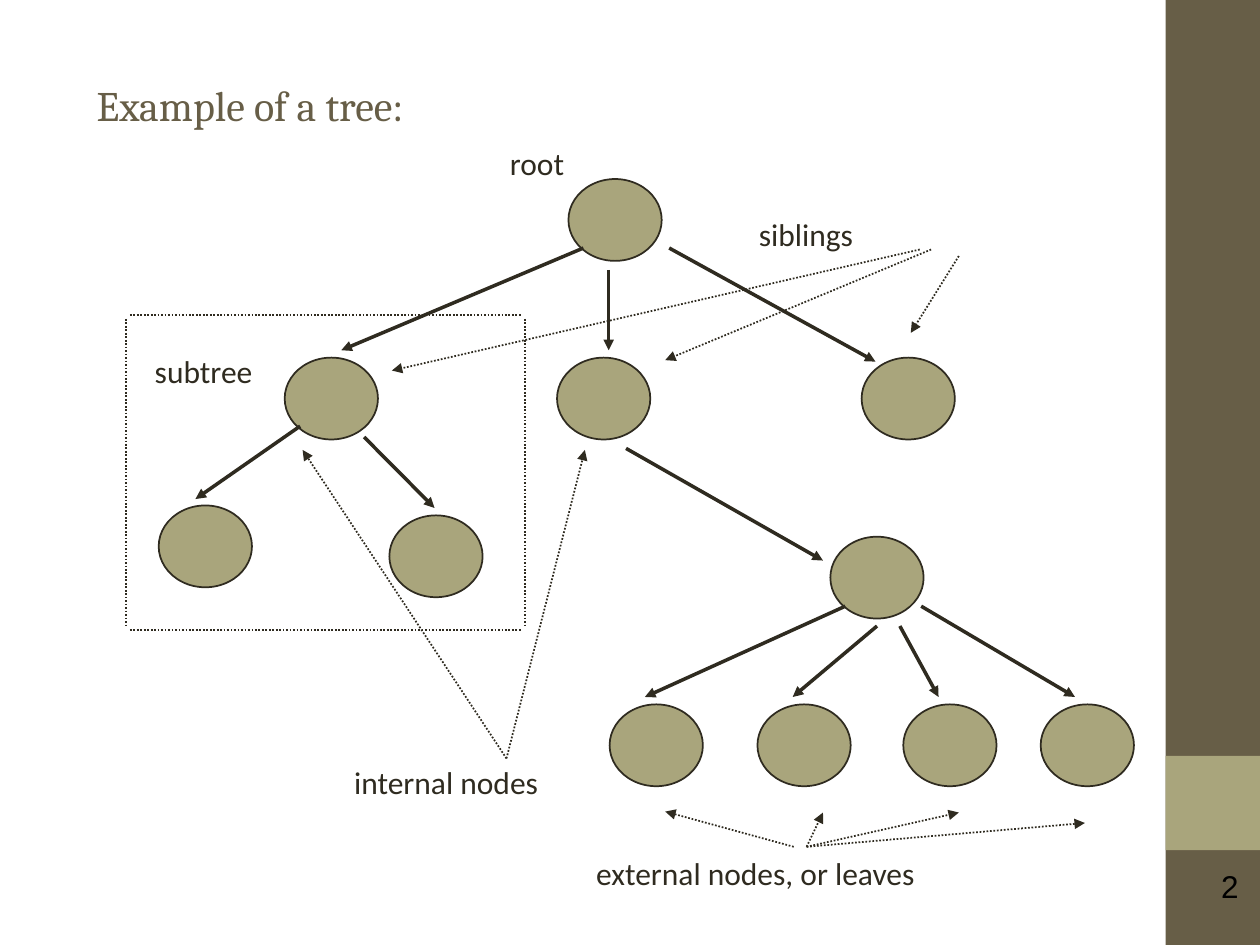
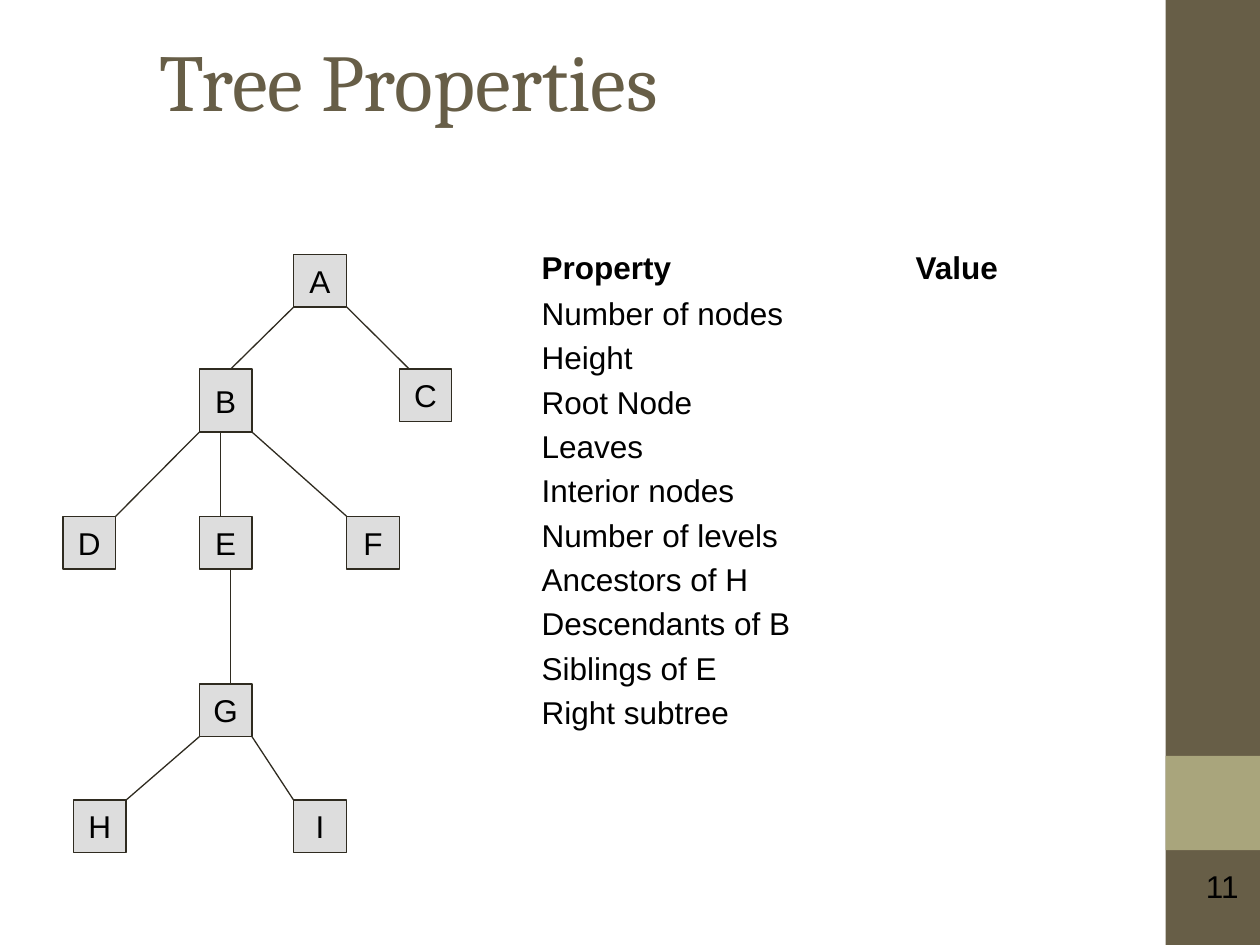
from pptx import Presentation
from pptx.dml.color import RGBColor
from pptx.enum.dml import MSO_LINE
from pptx.enum.shapes import MSO_CONNECTOR, MSO_SHAPE
from pptx.enum.text import MSO_ANCHOR, MSO_AUTO_SIZE, PP_ALIGN
from pptx.oxml.ns import qn
from pptx.util import Cm, Pt
from lxml.etree import SubElement

BROWN = RGBColor(0x67, 0x5E, 0x47)
OLIVE = RGBColor(0xA9, 0xA5, 0x7C)
INK = RGBColor(0x2F, 0x2B, 0x20)
GREY = RGBColor(0xDD, 0xDD, 0xDD)
BLACK = RGBColor(0, 0, 0)


def write(frame, text, font="Arial", size=18, color=BLACK, bold=False,
          align=PP_ALIGN.LEFT, anchor=MSO_ANCHOR.TOP, inset=0.25,
          wrap=True, tab=None, gap=0, lead=None):
    """Fill a text frame; gap and lead apply after the first line."""
    frame.word_wrap = wrap
    frame.auto_size = MSO_AUTO_SIZE.NONE
    frame.vertical_anchor = anchor
    frame.margin_left = frame.margin_right = Cm(inset)
    frame.margin_top = frame.margin_bottom = Cm(inset / 2)
    for num, line in enumerate(text.split("\n")):
        para = frame.add_paragraph() if num else frame.paragraphs[0]
        para.alignment = align
        if num and gap:
            para.space_before = Pt(gap)
            para.line_spacing = lead
        if tab and "\t" in line:
            stops = SubElement(para._p.get_or_add_pPr(), qn("a:tabLst"))
            SubElement(stops, qn("a:tab"), pos=str(Cm(tab)), algn="l")
        run = para.add_run()
        run.text = line
        run.font.name = font
        run.font.size = Pt(size)
        run.font.color.rgb = color
        run.font.bold = bold and num == 0


def link(slide, ends, width=0.75, dots=False, arrow=False):
    """Draw a straight line, with an optional arrow at its end."""
    line = slide.shapes.add_connector(
        MSO_CONNECTOR.STRAIGHT, *[Cm(end) for end in ends])
    line.line.color.rgb = INK
    line.line.width = Pt(width)
    if dots:
        line.line.dash_style = MSO_LINE.ROUND_DOT
    if arrow:
        SubElement(line.line._get_or_add_ln(), qn("a:tailEnd"), type="triangle")
    SubElement(line._element.spPr, qn("a:effectLst"))


deck = Presentation()
deck.slide_width, deck.slide_height = Cm(25.4), Cm(19.05)

# Titles, side bands and page numbers
pages = [
    ("Example of a tree:", 24, (1.7, 1.07, 21.6, 2.1), "2"),
    ("Tree Properties", 46, (2.97, 0.43, 20.4, 2.34), "11"),
]
for text, size, box, page in pages:
    slide = deck.slides.add_slide(deck.slide_layouts[5])
    for top, high, color in [(0, 19.05, BROWN), (15.24, 1.9, OLIVE)]:
        band = slide.shapes.add_shape(
            MSO_SHAPE.RECTANGLE, Cm(23.5), Cm(top), Cm(1.9), Cm(high))
        band.shadow.inherit = False
        band.fill.solid()
        band.fill.fore_color.rgb = color
        band.line.fill.background()
    title = slide.shapes.title
    title.left, title.top, title.width, title.height = [Cm(v) for v in box]
    write(title.text_frame, text, font="Cambria", size=size, color=BROWN,
          anchor=MSO_ANCHOR.MIDDLE)
    foot = slide.shapes.add_textbox(Cm(21.82), Cm(17.35), Cm(3.4), Cm(1.02))
    write(foot.text_frame, page, align=PP_ALIGN.RIGHT)

terms, props = deck.slides

# Tree terms: labels
labels = [
    ("root", 10.28, 2.9), ("siblings", 15.3, 4.33), ("subtree", 3.12, 7.1),
    ("internal nodes", 7.14, 15.38),
    ("external nodes, or leaves", 12.02, 17.22),
]
for text, left, top in labels:
    label = terms.shapes.add_textbox(Cm(left), Cm(top), Cm(7), Cm(0.8))
    write(label.text_frame, text, font="Calibri", color=INK, inset=0)

# Tree terms: nodes
spots = [(11.46, 3.61), (3.2, 10.19), (7.85, 10.39), (16.74, 10.82)]
spots += [(left, 7.21) for left in (5.74, 11.23, 17.37)]
spots += [(left, 14.2) for left in (12.29, 15.27, 18.21, 20.98)]
for left, top in spots:
    node = terms.shapes.add_shape(
        MSO_SHAPE.OVAL, Cm(left), Cm(top), Cm(1.88), Cm(1.65))
    node.shadow.inherit = False
    node.fill.solid()
    node.fill.fore_color.rgb = OLIVE
    node.line.color.rgb = INK
    node.line.width = Pt(1)

# Tree terms: edges from parent to child
edges = [
    (11.76, 5, 6.88, 7.06), (12.27, 5.44, 12.27, 7.06),
    (13.49, 5, 17.65, 7.29), (12.62, 9.04, 16.59, 11.3),
    (6.05, 8.59, 3.94, 10.06), (7.34, 8.81, 8.76, 10.24),
    (17.04, 12.22, 13, 14.05), (17.68, 12.62, 15.98, 14.05),
    (18.14, 12.62, 18.92, 14.05), (18.57, 12.22, 21.67, 14.05),
]
for ends in edges:
    link(terms, ends, width=2, arrow=True)

# Tree terms: dotted frame round the subtree
for top in (6.35, 12.7):
    link(terms, (2.62, top, 10.52, top), width=1, dots=True)
for left in (2.54, 10.59):
    link(terms, (left, 6.43, left, 12.62), width=1, dots=True)

# Tree terms: dotted pointers from the labels
hints = [
    (18.54, 5.03, 7.9, 7.47), (18.77, 5.03, 13.41, 7.26),
    (19.33, 5.16, 18.36, 6.71),
    (10.21, 15.29, 6.1, 9.07), (10.21, 15.29, 11.79, 9.07),
    (16, 17.07, 13.41, 16.36), (16.26, 17.07, 16.59, 16.38),
    (16.26, 17.07, 19.33, 16.38), (16.26, 17.07, 21.87, 16.59),
]
for ends in hints:
    link(terms, ends, width=1, dots=True, arrow=True)

# Tree properties: lettered nodes
SIDE = 1.06
boxes = [
    ("A", 5.92, 5.13, SIDE), ("B", 4.02, 7.44, 1.27), ("C", 8.05, 7.44, SIDE),
    ("D", 1.27, 10.41, SIDE), ("E", 4.02, 10.41, SIDE),
    ("F", 6.99, 10.41, SIDE), ("G", 4.02, 13.79, SIDE),
    ("H", 1.48, 16.13, SIDE), ("I", 5.92, 16.13, SIDE),
]
for text, left, top, high in boxes:
    node = props.shapes.add_shape(
        MSO_SHAPE.RECTANGLE, Cm(left), Cm(top), Cm(SIDE), Cm(high))
    node.shadow.inherit = False
    node.fill.solid()
    node.fill.fore_color.rgb = GREY
    node.line.color.rgb = INK
    node.line.width = Pt(0.75)
    write(node.text_frame, text, align=PP_ALIGN.CENTER,
          anchor=MSO_ANCHOR.MIDDLE, wrap=False)

# Tree properties: edges
edges = [
    (5.92, 6.19, 4.65, 7.44), (6.99, 6.19, 8.25, 7.44),
    (4.02, 8.71, 2.33, 10.41), (4.45, 8.71, 4.45, 10.41),
    (5.08, 8.71, 6.99, 10.41), (4.65, 11.48, 4.65, 13.79),
    (4.02, 14.85, 2.54, 16.13), (5.08, 14.85, 5.92, 16.13),
]
for ends in edges:
    link(props, ends)

# Tree properties: list with a value column
rows = [
    "Property\tValue", "Number of nodes", "Height", "Root Node", "Leaves",
    "Interior nodes", "Number of levels", "Ancestors of H",
    "Descendants of B", "Siblings of E", "Right subtree",
]
table = props.shapes.add_textbox(Cm(10.67), Cm(4.87), Cm(11.43), Cm(9.96))
write(table.text_frame, "\n".join(rows), bold=True, tab=7.54, gap=12.4,
      lead=0.6)

deck.save("out.pptx")
